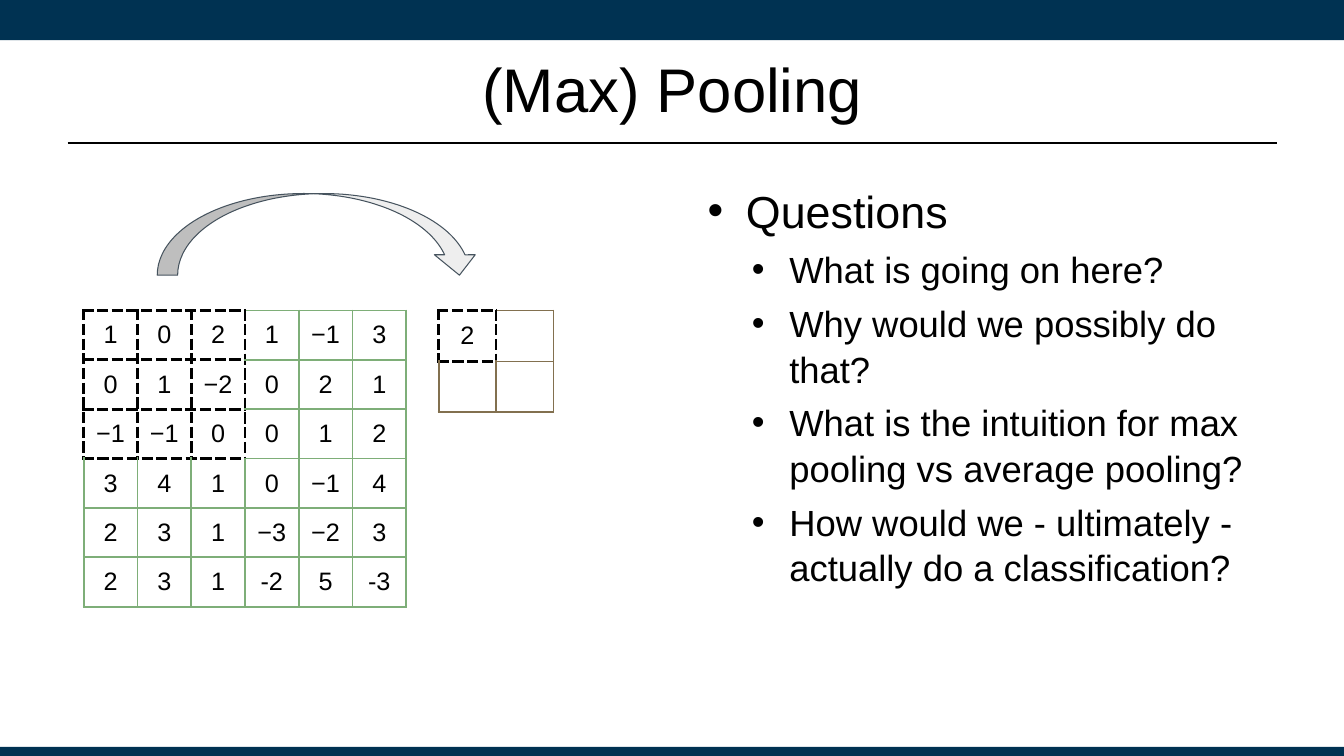
from pptx import Presentation
from pptx.dml.color import RGBColor
from pptx.enum.shapes import MSO_CONNECTOR, MSO_SHAPE
from pptx.enum.text import MSO_ANCHOR, PP_ALIGN
from pptx.oxml.ns import qn
from pptx.util import Inches, Pt
from lxml import etree

RECT = MSO_SHAPE.RECTANGLE
CURVE = MSO_SHAPE.CURVED_DOWN_ARROW
LINE = MSO_CONNECTOR.STRAIGHT
MIDDLE = MSO_ANCHOR.MIDDLE
CENTER = PP_ALIGN.CENTER


class Theme:
    font = "Arial"
    ink = "000000"
    navy = "003252"
    green = "7EAE78"
    brown = "82704F"
    gray = "EEEEEE"
    slate = "46535E"
    title = 44
    head = 32
    item = 26
    cell = 18


def style(par, size):
    for run in par.runs:
        run.font.name = Theme.font
        run.font.size = Pt(size)
        run.font.color.rgb = RGBColor.from_string(Theme.ink)


def grid(values, left, wide, tint, window):
    count = len(values)
    frame = slide.shapes.add_table(
        count, count, Inches(left), Inches(3.08),
        Inches(wide * count), Inches(0.49 * count))
    table = frame.table
    table.first_row = False
    table.horz_banding = False
    for col in table.columns:
        col.width = Inches(wide)
    for r, row in enumerate(values):
        table.rows[r].height = Inches(0.49)
        for c, value in enumerate(row):
            cell = table.cell(r, c)
            cell.margin_left = cell.margin_right = Inches(0.1)
            cell.margin_top = cell.margin_bottom = Inches(0.1)
            cell.vertical_anchor = MIDDLE
            cell.fill.background()
            par = cell.text_frame.paragraphs[0]
            par.text = value
            par.alignment = CENTER
            style(par, Theme.cell)
            props = cell.fill._xPr
            sides = [("L", 0, -1), ("R", 0, 0), ("T", -1, 0), ("B", 0, 0)]
            for place, (side, down, over) in enumerate(sides):
                inside = max(r, c) < window
                near = max(r + down, c + over) < window
                dashed = inside or near
                edge = etree.Element(qn("a:ln" + side))
                edge.set("w", str(Pt(2.25 if dashed else 1.5)))
                fill = etree.SubElement(edge, qn("a:solidFill"))
                color = etree.SubElement(fill, qn("a:srgbClr"))
                color.set("val", Theme.ink if dashed else tint)
                dash = etree.SubElement(edge, qn("a:prstDash"))
                dash.set("val", "dash" if dashed else "solid")
                props.insert(place, edge)


deck = Presentation()
deck.slide_width = Inches(13.33)
deck.slide_height = Inches(7.5)
slide = deck.slides.add_slide(deck.slide_layouts[5])

for top, high in [(0, 0.4), (7.41, 0.09)]:
    band = slide.shapes.add_shape(
        RECT, 0, Inches(top), deck.slide_width, Inches(high))
    band.shadow.inherit = False
    band.fill.solid()
    band.fill.fore_color.rgb = RGBColor.from_string(Theme.navy)
    band.line.fill.background()

rule = slide.shapes.add_connector(
    LINE, Inches(0.67), Inches(1.42), Inches(12.67), Inches(1.42))
rule.line.color.rgb = RGBColor.from_string(Theme.ink)
rule.line.width = Pt(1.25)
etree.SubElement(rule._element.spPr, qn("a:effectLst"))

title = slide.shapes.title
title.left, title.top = Inches(0.67), Inches(0.25)
title.width, title.height = Inches(12), Inches(1.25)
title.text_frame.text = "(Max) Pooling"
title.text_frame.vertical_anchor = MIDDLE
title.text_frame.paragraphs[0].alignment = CENTER
style(title.text_frame.paragraphs[0], Theme.title)

source = [
    ["1", "0", "2", "1", "−1", "3"],
    ["0", "1", "−2", "0", "2", "1"],
    ["−1", "−1", "0", "0", "1", "2"],
    ["3", "4", "1", "0", "−1", "4"],
    ["2", "3", "1", "−3", "−2", "3"],
    ["2", "3", "1", "-2", "5", "-3"],
]
pooled = [["2", ""], ["", ""]]
grid(source, 0.83, 3.2 / 6, Theme.green, 3)
grid(pooled, 4.35, 0.57, Theme.brown, 1)

arrow = slide.shapes.add_shape(
    CURVE, Inches(1.56), Inches(1.92), Inches(3.2), Inches(0.81))
arrow.shadow.inherit = False
for index, value in enumerate([0.25, 0.5, 0.25]):
    arrow.adjustments[index] = value
arrow.fill.solid()
arrow.fill.fore_color.rgb = RGBColor.from_string(Theme.gray)
arrow.line.color.rgb = RGBColor.from_string(Theme.slate)
arrow.line.width = Pt(0.75)

body = slide.shapes.add_textbox(
    Inches(6.92), Inches(1.75), Inches(5.75), Inches(4.95))
text = body.text_frame
text.word_wrap = True
points = [
    (0, "Questions"),
    (1, "What is going on here?"),
    (1, "Why would we possibly do that?"),
    (1, "What is the intuition for max pooling vs average pooling?"),
    (1, "How would we - ultimately - actually do a classification?"),
]
for index, (level, words) in enumerate(points):
    par = text.add_paragraph() if index else text.paragraphs[0]
    par.text = words
    par.level = level
    par.line_spacing = 1.04
    par.space_before = Pt(6 * level)
    props = par._p.get_or_add_pPr()
    props.set("marL", str(Inches(0.81 if level else 0.38)))
    props.set("indent", str(Inches(-0.37 if level else -0.38)))
    color = etree.SubElement(props, qn("a:buClr"))
    etree.SubElement(color, qn("a:srgbClr")).set("val", Theme.ink)
    etree.SubElement(props, qn("a:buFont")).set("typeface", Theme.font)
    etree.SubElement(props, qn("a:buChar")).set("char", "•")
    style(par, Theme.item if level else Theme.head)

deck.save("out.pptx")
